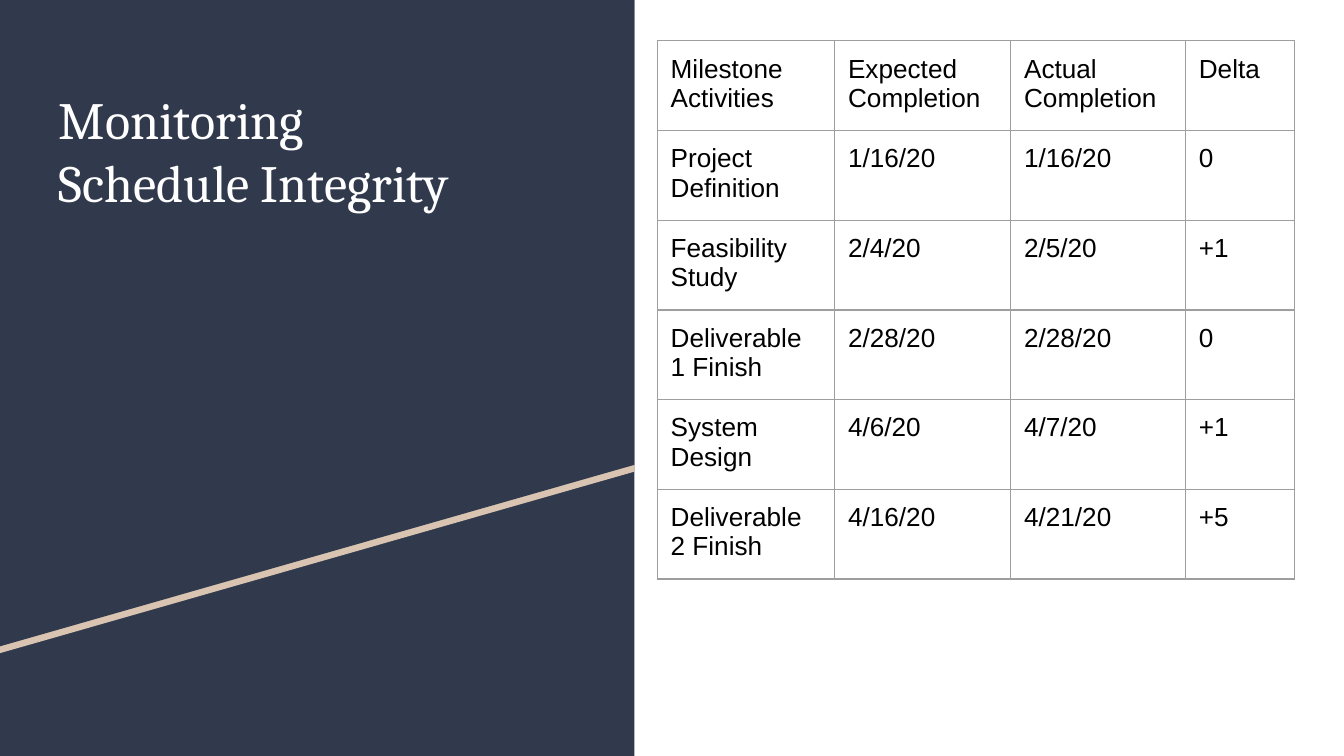
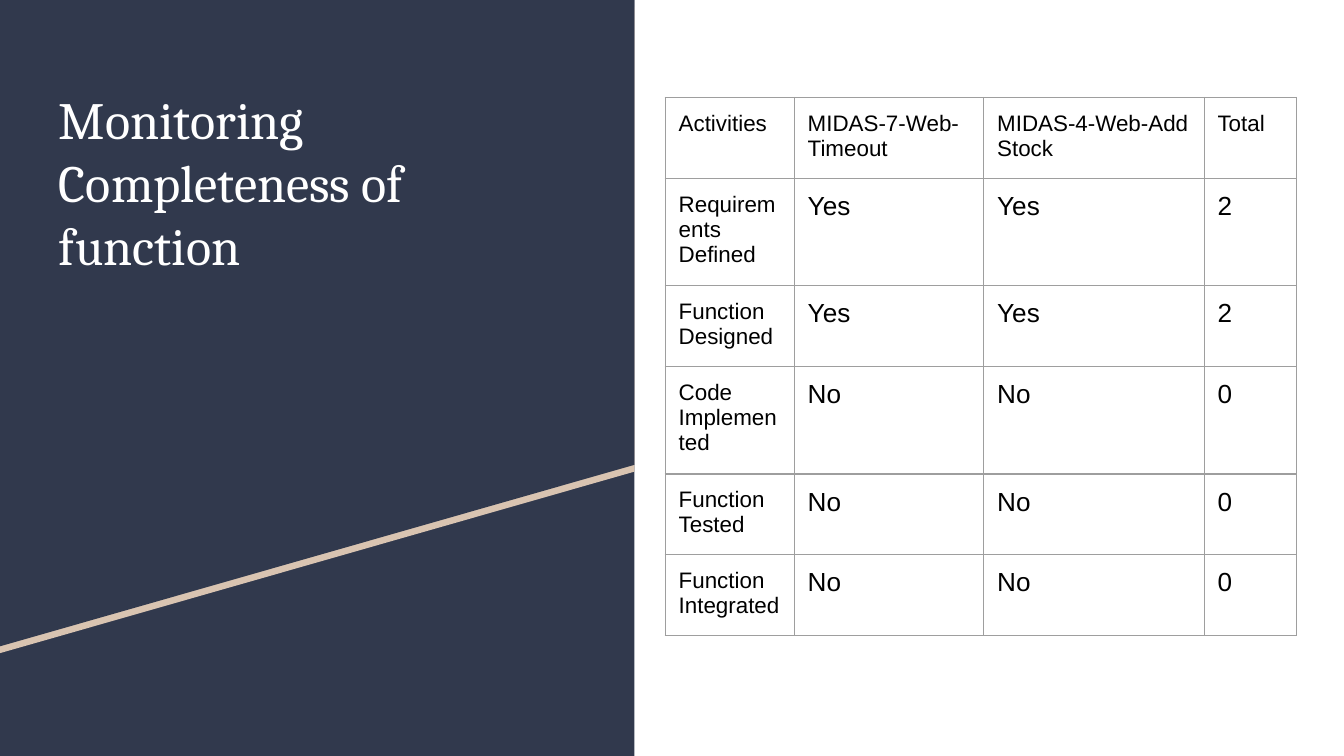
from lxml import etree
from pptx import Presentation
from pptx.dml.color import RGBColor
from pptx.enum.shapes import MSO_SHAPE
from pptx.enum.text import MSO_ANCHOR
from pptx.oxml.ns import qn
from pptx.util import Inches, Pt

RECTANGLE = MSO_SHAPE.RECTANGLE
TOP = MSO_ANCHOR.TOP

COLORS = {"navy": "31394D", "sand": "D9C4B1", "white": "FFFFFF",
          "black": "000000", "grid": "9E9E9E"}
WIDTH = Inches(10)
HEIGHT = WIDTH * 9 // 16
INSET = Inches(0.1)
PANEL = 47.2
SLOPE_LEFT, SLOPE_RIGHT = 85.5, 61.5
STRIPE = 0.9
BLANK_LAYOUT = 6

SCHEDULE = [
    ["Milestone Activities", "Expected Completion", "Actual Completion", "Delta"],
    ["Project Definition", "1/16/20", "1/16/20", "0"],
    ["Feasibility Study", "2/4/20", "2/5/20", "+1"],
    ["Deliverable 1 Finish", "2/28/20", "2/28/20", "0"],
    ["System Design", "4/6/20", "4/7/20", "+1"],
    ["Deliverable 2 Finish", "4/16/20", "4/21/20", "+5"],
]
COMPLETENESS = [
    ["Activities", "MIDAS-7-Web-Timeout", "MIDAS-4-Web-Add Stock", "Total"],
    ["Requirements Defined", "Yes", "Yes", "2"],
    ["Function Designed", "Yes", "Yes", "2"],
    ["Code Implemented", "No", "No", "0"],
    ["Function Tested", "No", "No", "0"],
    ["Function Integrated", "No", "No", "0"],
]


def across(percent):
    return round(WIDTH * percent / 100)


def down(percent):
    return round(HEIGHT * percent / 100)


def color(name):
    return RGBColor.from_string(COLORS[name])


def paint(shape, fill):
    shape.shadow.inherit = False
    shape.fill.solid()
    shape.fill.fore_color.rgb = color(fill)
    shape.line.fill.background()


def add_wedge(slide, offset, fill):
    corners = [(0, 0), (PANEL, 0), (PANEL, SLOPE_RIGHT), (0, SLOPE_LEFT)]
    points = [(across(x), down(y + offset)) for x, y in corners]
    builder = slide.shapes.build_freeform(*points[0])
    builder.add_line_segments(points[1:], close=True)
    paint(builder.convert_to_shape(), fill)


def add_panel(slide):
    panel = slide.shapes.add_shape(RECTANGLE, 0, 0, across(PANEL), HEIGHT)
    paint(panel, "navy")
    add_wedge(slide, STRIPE, "sand")
    add_wedge(slide, 0, "navy")


def add_run(paragraph, text, font, size, fill):
    run = paragraph.add_run()
    run.text = text
    run.font.name = font
    run.font.size = Pt(size)
    run.font.color.rgb = color(fill)


def set_insets(holder):
    holder.margin_left = holder.margin_right = INSET
    holder.margin_top = holder.margin_bottom = INSET
    holder.vertical_anchor = TOP


def add_title(slide, lines):
    title = slide.shapes.add_textbox(across(3.4), down(9.8), across(40.5), down(48.7))
    frame = title.text_frame
    frame.word_wrap = True
    set_insets(frame)
    paragraph = frame.paragraphs[0]
    for number, line in enumerate(lines):
        if number:
            paragraph.add_line_break()
        add_run(paragraph, line, "Cambria", 28, "white")


def add_borders(cell):
    properties = cell._tc.get_or_add_tcPr()
    for side in ("a:lnL", "a:lnR", "a:lnT", "a:lnB"):
        border = etree.SubElement(properties, qn(side), w=str(Pt(0.75)))
        solid = etree.SubElement(border, qn("a:solidFill"))
        etree.SubElement(solid, qn("a:srgbClr"), val=COLORS["grid"])


def add_tracking_table(slide, left, top, widths, row_height, rows, label_size):
    frame = slide.shapes.add_table(
        len(rows), len(widths), across(left), down(top),
        across(sum(widths)), down(row_height * len(rows)))
    table = frame.table
    table.first_row = table.horz_banding = False
    for column, width in zip(table.columns, widths):
        column.width = across(width)
    for row_number, texts in enumerate(rows):
        table.rows[row_number].height = down(row_height)
        for column_number, text in enumerate(texts):
            cell = table.cell(row_number, column_number)
            set_insets(cell)
            add_borders(cell)
            cell.fill.background()
            is_label = row_number == 0 or column_number == 0
            add_run(cell.text_frame.paragraphs[0], text, "Arial",
                    label_size if is_label else 14, "black")


def add_monitoring_slide(deck, title_lines, **tracking):
    slide = deck.slides.add_slide(deck.slide_layouts[BLANK_LAYOUT])
    add_panel(slide)
    add_title(slide, title_lines)
    add_tracking_table(slide, **tracking)


def main():
    deck = Presentation()
    deck.slide_width, deck.slide_height = WIDTH, HEIGHT
    add_monitoring_slide(
        deck, ["Monitoring", "Schedule Integrity"],
        left=48.9, top=5.4, widths=[13.2, 13.1, 13, 8.1], row_height=7.3,
        rows=SCHEDULE, label_size=14)
    add_monitoring_slide(
        deck, ["Monitoring", "Completeness of function"],
        left=49.5, top=12.9, widths=[9.6, 14.1, 16.4, 6.9], row_height=6.2,
        rows=COMPLETENESS, label_size=12)
    deck.save("out.pptx")


if __name__ == "__main__":
    main()
